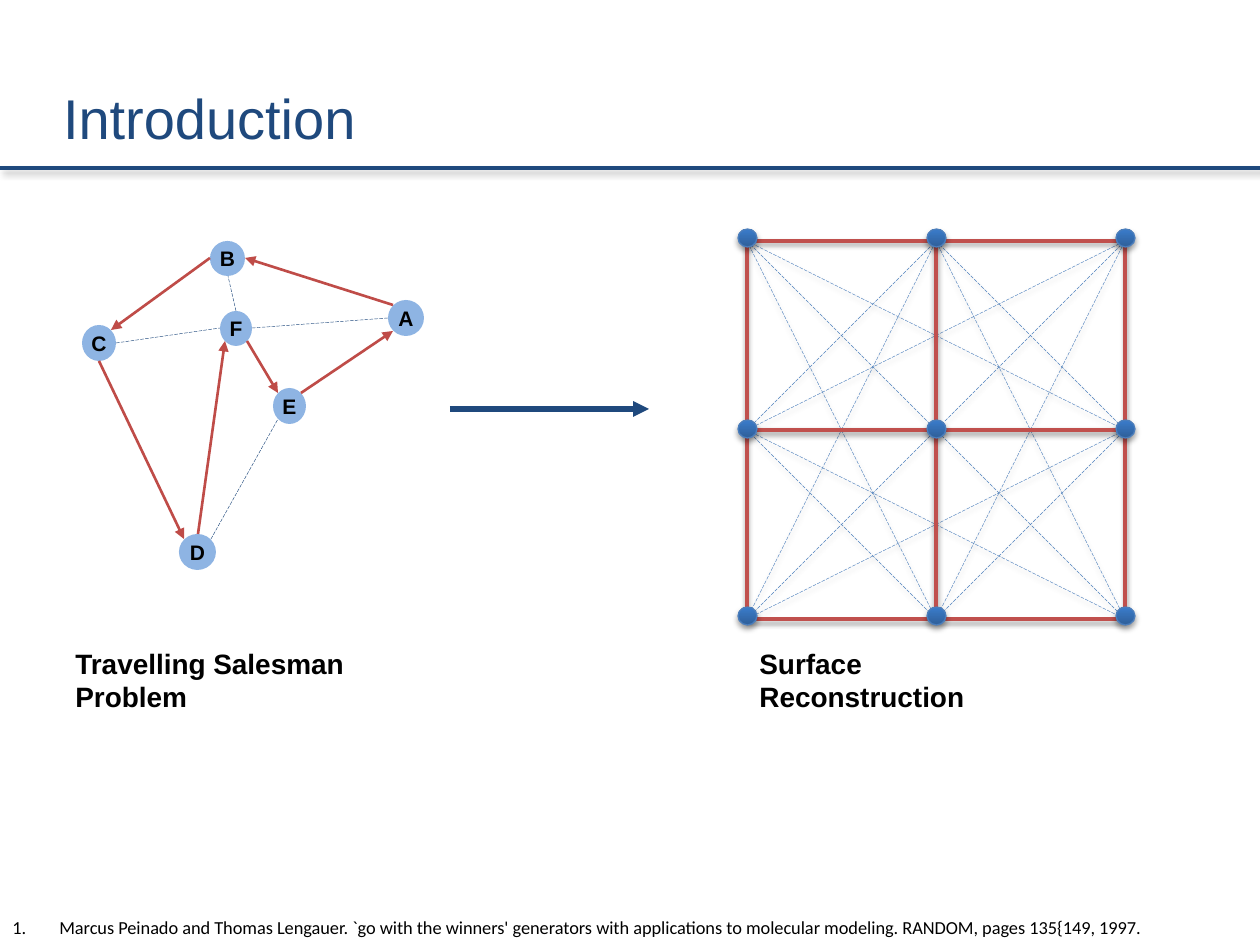
"""Build the introduction slide that links a salesman tour to surface reconstruction."""
from itertools import combinations, product
from math import cos, pi, sin

from lxml import etree
from pptx import Presentation
from pptx import util as u
from pptx.dml.color import RGBColor
from pptx.enum import dml, shapes, text
from pptx.oxml.ns import qn

SCALE = 914400 / 126
COLORS = {
    "navy": "1F497D", "blue": "4F81BD", "red": "C0504D", "tour": "BF4C48",
    "node": "8EB4E3", "dot_dark": "2F5F99", "dot_light": "3A7CCB",
    "dot_edge": "4B7EBC", "black": "000000",
}
TOP, TOP_LEFT, LEFT, BOTTOM_LEFT, BOTTOM, BOTTOM_RIGHT, RIGHT, TOP_RIGHT = range(8)


def px(value):
    return u.Emu(round(value * SCALE))


def color(name):
    return RGBColor.from_string(COLORS[name])


def rim_point(box, site):
    left, top, width, height = box
    angle = pi / 2 + site * pi / 4
    return (round(left + width / 2 * (1 + cos(angle))),
            round(top + height / 2 * (1 - sin(angle))))


class SlideBuilder:
    def __init__(self, slide, font="Arial"):
        self.slide = slide
        self.font = font

    def set_effects(self, shape, shadow=None):
        effects = etree.SubElement(shape._element.spPr, qn("a:effectLst"))
        if shadow:
            opacity, blur, distance, angle = shadow
            outer = etree.SubElement(
                effects, qn("a:outerShdw"), blurRad=str(u.Pt(blur)),
                dist=str(u.Pt(distance)), dir=str(angle * 60000), rotWithShape="0")
            shade = etree.SubElement(outer, qn("a:srgbClr"), val=COLORS["black"])
            etree.SubElement(shade, qn("a:alpha"), val=str(opacity * 1000))

    def set_text(self, shape, words, size, tone="black", bold=False, font=None,
                 align=text.PP_ALIGN.LEFT):
        paragraph = shape.text_frame.paragraphs[0]
        paragraph.text = words
        paragraph.alignment = align
        paragraph.font.name = font or self.font
        paragraph.font.size = u.Pt(size)
        paragraph.font.bold = bold
        paragraph.font.color.rgb = color(tone)
        return paragraph

    def set_insets(self, frame, side):
        frame.margin_left = frame.margin_right = px(side)
        frame.margin_top = frame.margin_bottom = 0

    def title(self, words, box):
        shape = self.slide.shapes.title
        shape.left, shape.top, shape.width, shape.height = map(px, box)
        self.set_insets(shape.text_frame, 0)
        shape.text_frame.vertical_anchor = text.MSO_ANCHOR.MIDDLE
        self.set_text(shape, words, 32, "navy")

    def label(self, words, box, size, **style):
        shape = self.slide.shapes.add_textbox(*map(px, box))
        shape.text_frame.word_wrap = True
        return self.set_text(shape, words, size, **style)

    def reference(self, words, box):
        paragraph = self.label(words, box, 10.5, font="Calibri")
        properties = paragraph._p.get_or_add_pPr()
        properties.set("marL", str(px(47)))
        properties.set("indent", str(px(-47)))
        properties.insert(0, etree.Element(qn("a:buAutoNum"), type="arabicPeriod"))

    def line(self, start, end, tone, width, dashed=False, arrow=False, shadow=None):
        connector = self.slide.shapes.add_connector(
            shapes.MSO_CONNECTOR.STRAIGHT, *map(px, (*start, *end)))
        connector.line.color.rgb = color(tone)
        connector.line.width = u.Pt(width)
        if dashed:
            connector.line.dash_style = dml.MSO_LINE.LONG_DASH
        if arrow:
            etree.SubElement(connector.get_or_add_ln(), qn("a:tailEnd"), type="triangle")
        self.set_effects(connector, shadow)

    def city(self, name, box):
        shape = self.slide.shapes.add_shape(shapes.MSO_SHAPE.OVAL, *map(px, box))
        shape.fill.solid()
        shape.fill.fore_color.rgb = color("node")
        shape.line.fill.background()
        self.set_effects(shape)
        shape.text_frame.word_wrap = False
        shape.text_frame.vertical_anchor = text.MSO_ANCHOR.MIDDLE
        self.set_insets(shape.text_frame, 6)
        self.set_text(shape, name, 12, bold=True, align=text.PP_ALIGN.CENTER)

    def frame(self, box, shadow):
        shape = self.slide.shapes.add_shape(shapes.MSO_SHAPE.RECTANGLE, *map(px, box))
        shape.fill.background()
        shape.line.color.rgb = color("red")
        shape.line.width = u.Pt(2.25)
        self.set_effects(shape, shadow)

    def dot(self, box, shadow):
        shape = self.slide.shapes.add_shape(shapes.MSO_SHAPE.OVAL, *map(px, box))
        shape.fill.gradient()
        shape.fill.gradient_angle = 90
        for stop, tone in zip(shape.fill.gradient_stops, ("dot_dark", "dot_light")):
            stop.color.rgb = color(tone)
        shape.line.color.rgb = color("dot_edge")
        shape.line.width = u.Pt(0.75)
        self.set_effects(shape, shadow)


def draw_tour(builder):
    cities = {
        "A": (388, 300, 36, 36), "B": (210, 241, 35, 35), "C": (82, 325, 34, 36),
        "D": (179, 534, 37, 36), "F": (220, 311, 32, 35), "E": (273, 388, 33, 36),
    }
    tour = [
        ("E", TOP_RIGHT, "A", BOTTOM_LEFT), ("A", TOP_LEFT, "B", RIGHT),
        ("B", LEFT, "C", TOP_RIGHT), ("C", BOTTOM, "D", TOP_LEFT),
        ("D", TOP, "F", BOTTOM_LEFT), ("F", BOTTOM_RIGHT, "E", TOP_LEFT),
    ]
    unused = [
        ("F", RIGHT, "A", LEFT), ("F", TOP, "B", BOTTOM),
        ("C", RIGHT, "F", LEFT), ("D", TOP_RIGHT, "E", BOTTOM_LEFT),
    ]
    for name, box in cities.items():
        builder.city(name, box)
    for roads, style in (
            (tour, {"tone": "tour", "width": 1.5, "arrow": True}),
            (unused, {"tone": "navy", "width": 0.25, "dashed": True})):
        for origin, leaving, target, arriving in roads:
            builder.line(rim_point(cities[origin], leaving),
                         rim_point(cities[target], arriving), **style)


def draw_surface(builder):
    line_shadow, shape_shadow = (38, 3.1, 1.6, 90), (35, 3.1, 1.8, 90)
    left, top, step = 747, 241, 189
    columns, rows = ([start + step * index for index in range(3)] for start in (left, top))
    center = (columns[1], rows[1])
    outer_points = [point for point in product(columns, rows) if point != center]
    for start, end in combinations(outer_points, 2):
        if start[0] != end[0] and start[1] != end[1]:
            builder.line(start, end, "blue", 0.25, dashed=True, shadow=line_shadow)
    for start, end in (((columns[0], rows[1]), (columns[2], rows[1])),
                       ((columns[1], rows[0]), (columns[1], rows[2]))):
        builder.line(start, end, "red", 2.25, shadow=line_shadow)
    builder.frame((left, top, 2 * step, 2 * step), shape_shadow)
    for column, dot_top in product(columns, (229, 420, 607)):
        builder.dot((column - 9, dot_top, 19, 18), shape_shadow)


def main():
    presentation = Presentation()
    presentation.slide_width, presentation.slide_height = px(1260), px(945)
    builder = SlideBuilder(presentation.slides.add_slide(presentation.slide_layouts[5]))
    builder.line((0, 168), (1260, 168), "navy", 2.25, shadow=(40, 4, 3, 45))
    builder.title("Introduction", (63, 38, 1134, 158))
    builder.reference(
        "Marcus Peinado and Thomas Lengauer. `go with the winners' generators with "
        "applications to molecular modeling. RANDOM, pages 135{149, 1997.",
        (0, 910, 1260, 35))
    draw_tour(builder)
    builder.line((450, 409), (649, 409), "navy", 3, arrow=True)
    builder.label("Travelling Salesman Problem", (63, 640, 362, 47), 16, bold=True)
    builder.label("Surface Reconstruction", (747, 640, 296, 47), 16, bold=True)
    draw_surface(builder)
    presentation.save("out.pptx")


if __name__ == "__main__":
    main()
